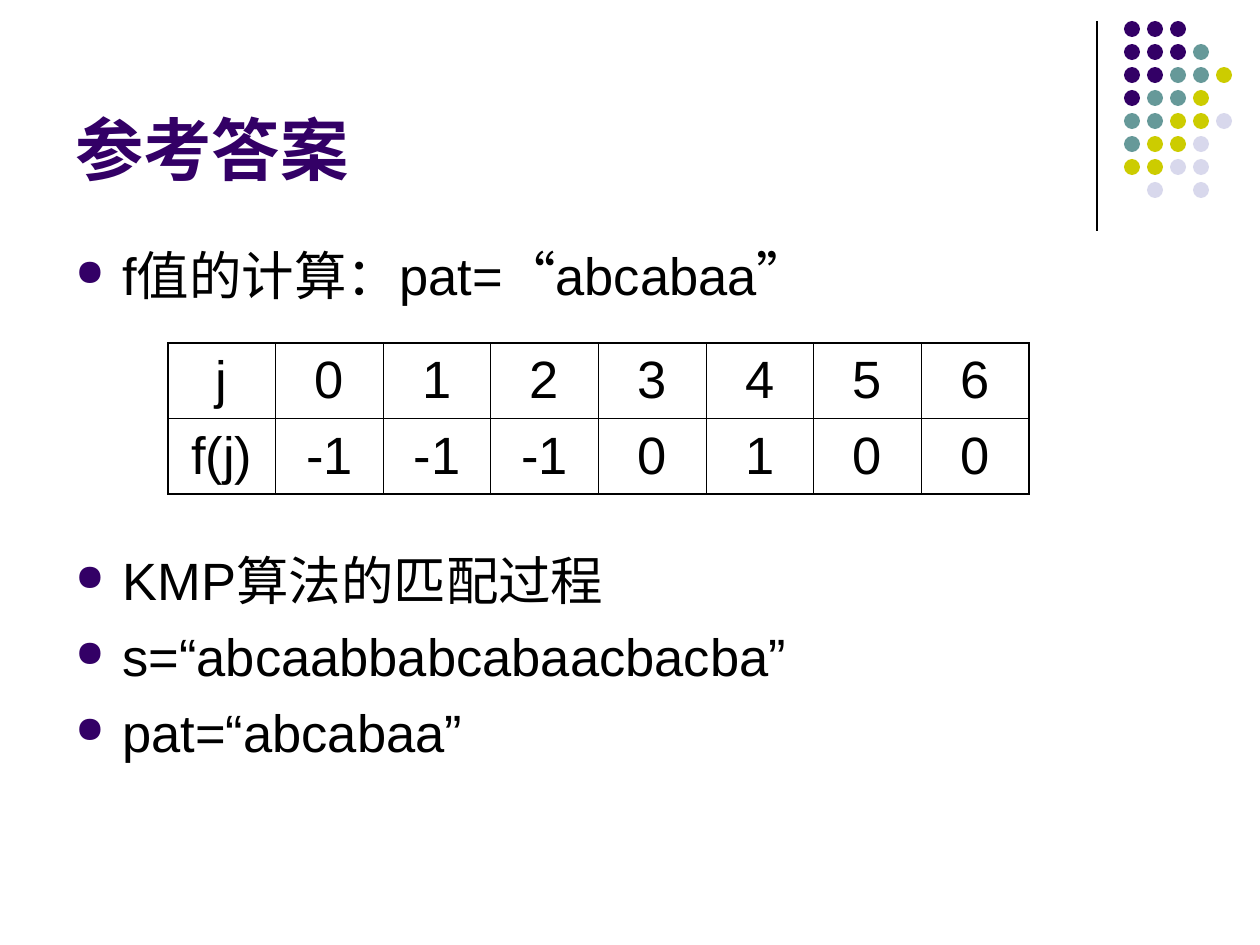
from dataclasses import dataclass

from lxml import etree
from pptx import Presentation
from pptx.dml.color import RGBColor
from pptx.enum.shapes import MSO_CONNECTOR, MSO_SHAPE
from pptx.enum.text import MSO_ANCHOR, PP_ALIGN
from pptx.oxml.ns import qn
from pptx.util import Pt

EMU_PER_PX = 7257.14
STRAIGHT = MSO_CONNECTOR.STRAIGHT
OVAL = MSO_SHAPE.OVAL
TOP, MIDDLE, BOTTOM = MSO_ANCHOR.TOP, MSO_ANCHOR.MIDDLE, MSO_ANCHOR.BOTTOM
CENTER = PP_ALIGN.CENTER


@dataclass(frozen=True)
class Theme:
    font: str = "Arial"
    title_size: int = 39
    body_size: int = 30
    bullet_percent: int = 70
    paragraph_gap: float = 7.5
    thin_border: float = 0.45
    thick_border: float = 1.08
    rule_width: float = 0.75
    black: str = "000000"
    purple: str = "330066"
    teal: str = "669999"
    olive: str = "CCCC00"
    lavender: str = "D8D8EC"


THEME = Theme()
DOT_COLORS = {"P": THEME.purple, "T": THEME.teal, "O": THEME.olive, "L": THEME.lavender}
DOT_ROWS = ["PPP", "PPPT", "PPTTO", "PTTO", "TTOOL", "TOOL", "OOLL", " L L"]
FAILURE_ROWS = [
    ["j", "0", "1", "2", "3", "4", "5", "6"],
    ["f(j)", "-1", "-1", "-1", "0", "1", "0", "0"],
]


def px(length):
    return round(length * EMU_PER_PX)


def style_runs(para, size, color, bold=False):
    for span in para.runs:
        span.font.name = THEME.font
        span.font.size = Pt(size)
        span.font.bold = bold
        span.font.color.rgb = RGBColor.from_string(color)


def add_box(page, left, top, width, height, anchor):
    box = page.shapes.add_textbox(px(left), px(top), px(width), px(height))
    box.text_frame.word_wrap = True
    box.text_frame.vertical_anchor = anchor
    return box.text_frame


def add_title(page, text):
    frame = add_box(page, 63, 16, 1040, 179, BOTTOM)
    frame.text = text
    style_runs(frame.paragraphs[0], THEME.title_size, THEME.purple, bold=True)


def add_bullet(para):
    props = para._p.get_or_add_pPr()
    props.set("marL", str(px(47)))
    props.set("indent", str(-px(47)))
    color = etree.SubElement(props, qn("a:buClr"))
    etree.SubElement(color, qn("a:srgbClr"), val=THEME.purple)
    etree.SubElement(props, qn("a:buSzPct"), val=str(THEME.bullet_percent * 1000))
    etree.SubElement(props, qn("a:buChar"), char="●")


def add_bullets(page, top, height, lines):
    frame = add_box(page, 63, top, 1134, height, TOP)
    frame.text = "\n".join(lines)
    for index, para in enumerate(frame.paragraphs):
        add_bullet(para)
        if index:
            para.space_before = Pt(THEME.paragraph_gap)
        style_runs(para, THEME.body_size, THEME.black)


def set_border(cell, side, width):
    props = cell._tc.get_or_add_tcPr()
    line = etree.SubElement(props, qn(f"a:{side}"), w=str(Pt(width)))
    fill = etree.SubElement(line, qn("a:solidFill"))
    etree.SubElement(fill, qn("a:srgbClr"), val=THEME.black)


def add_failure_table(page, rows):
    last_row, last_column = len(rows) - 1, len(rows[0]) - 1
    table = page.shapes.add_table(
        len(rows), len(rows[0]), px(168), px(343), px(861), px(151)
    ).table
    table.first_row = table.horz_banding = False
    for row, values in enumerate(rows):
        for column, value in enumerate(values):
            cell = table.cell(row, column)
            cell.text = value
            cell.vertical_anchor = MIDDLE
            para = cell.text_frame.paragraphs[0]
            para.alignment = CENTER
            style_runs(para, THEME.body_size, THEME.black)
            outer_sides = {
                "lnL": column == 0,
                "lnR": column == last_column,
                "lnT": row == 0,
                "lnB": row == last_row,
            }
            for side, outer in outer_sides.items():
                set_border(cell, side, THEME.thick_border if outer else THEME.thin_border)
            cell.fill.background()


def add_rule(page):
    rule = page.shapes.add_connector(STRAIGHT, px(1097), px(21), px(1097), px(231))
    rule.line.color.rgb = RGBColor.from_string(THEME.black)
    rule.line.width = Pt(THEME.rule_width)
    etree.SubElement(rule._element.spPr, qn("a:effectLst"))


def add_dots(page):
    pitch, size = 23, 16
    for row, codes in enumerate(DOT_ROWS):
        for column, code in enumerate(codes):
            if code in DOT_COLORS:
                dot = page.shapes.add_shape(
                    OVAL, px(1124 + column * pitch), px(21 + row * pitch), px(size), px(size)
                )
                dot.shadow.inherit = False
                dot.fill.solid()
                dot.fill.fore_color.rgb = RGBColor.from_string(DOT_COLORS[code])
                dot.line.fill.background()


def main():
    deck = Presentation()
    deck.slide_width, deck.slide_height = px(1260), px(945)
    page = deck.slides.add_slide(deck.slide_layouts[6])
    add_rule(page)
    add_dots(page)
    add_title(page, "参考答案")
    add_bullets(page, 237, 90, ["f值的计算：pat=“abcabaa”"])
    add_failure_table(page, FAILURE_ROWS)
    add_bullets(page, 542, 302, ["KMP算法的匹配过程", "s=“abcaabbabcabaacbacba”", "pat=“abcabaa”"])
    deck.save("out.pptx")


if __name__ == "__main__":
    main()
